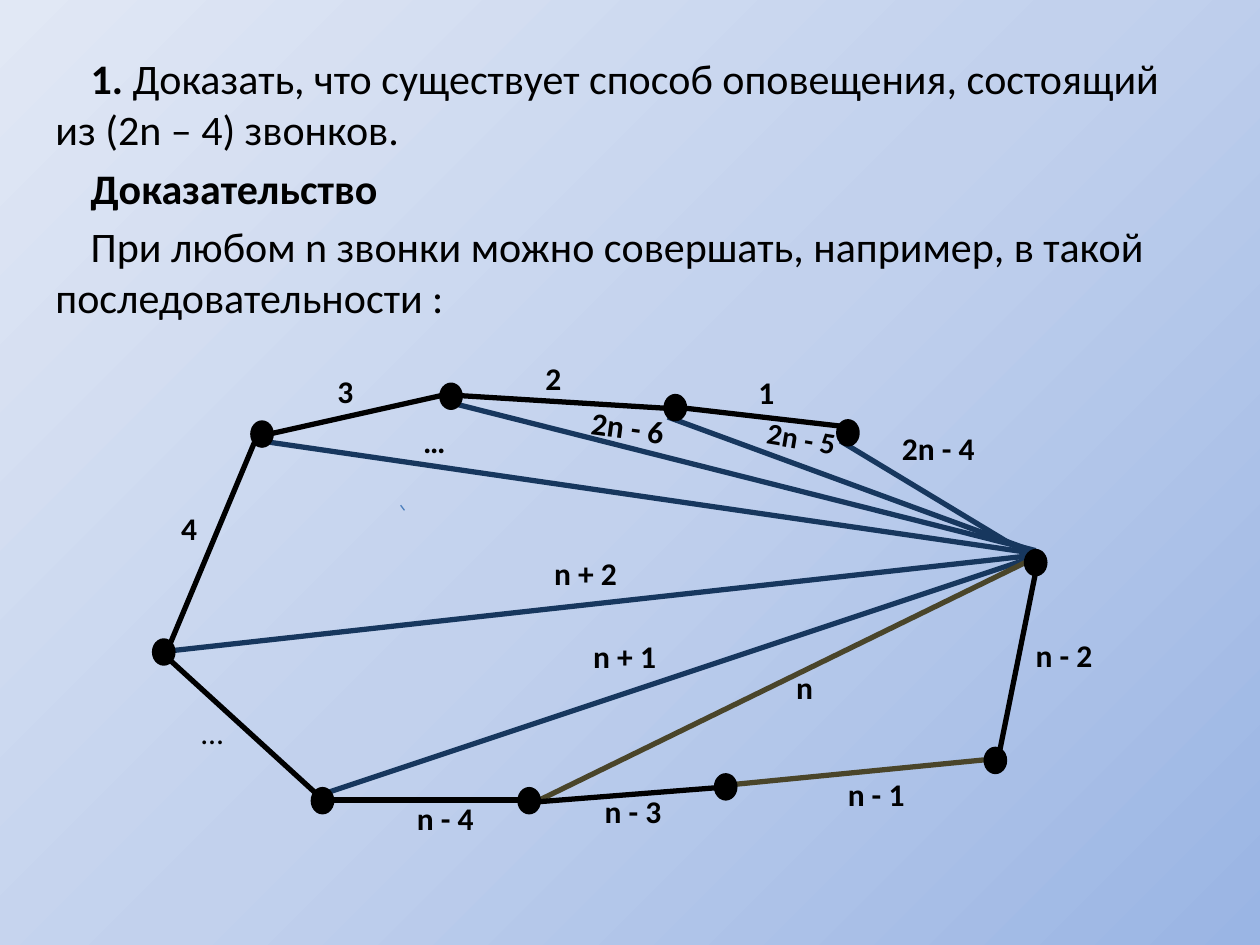
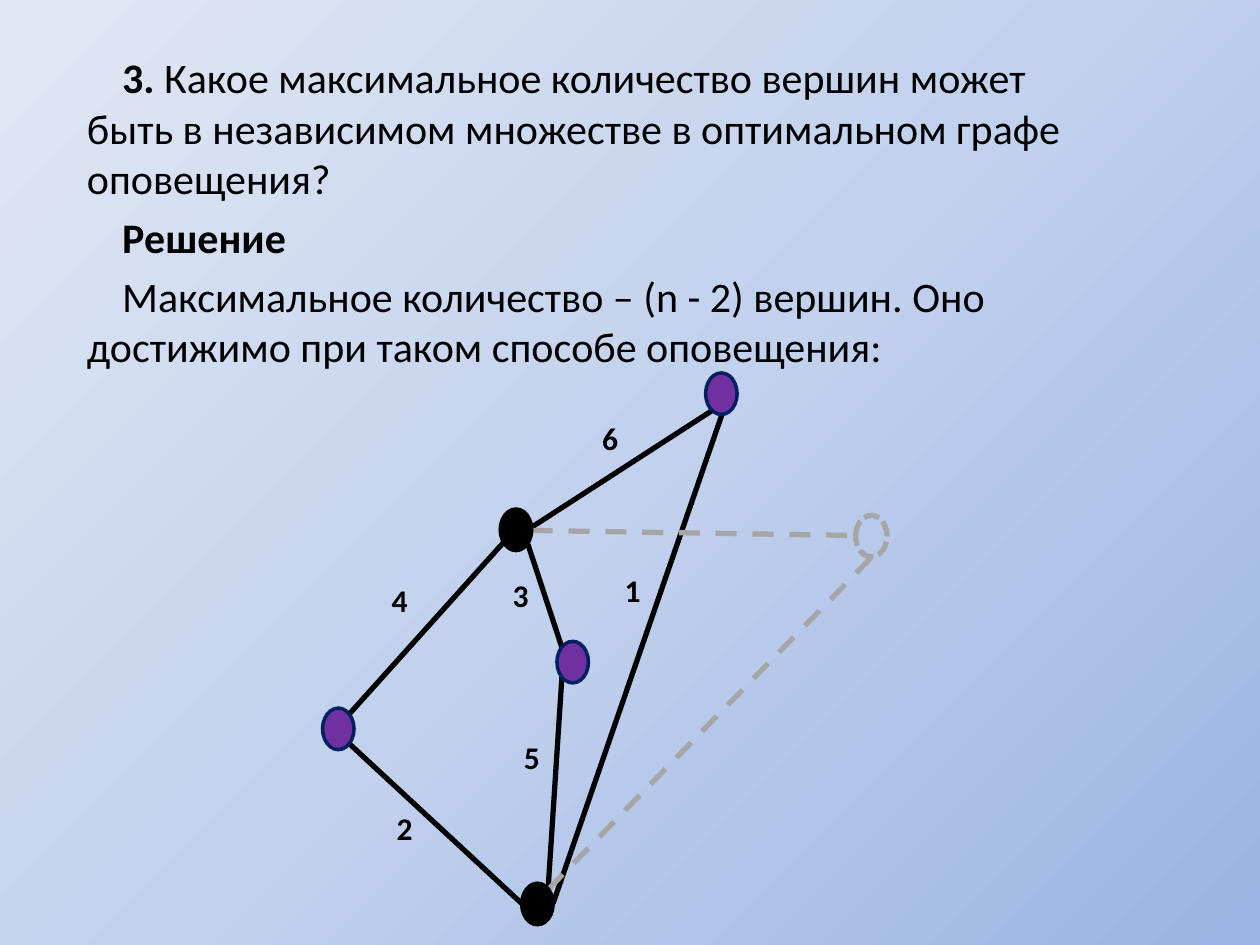
"""Build two slides on call graphs: a ring of calls and an optimal graph."""
from copy import deepcopy
from lxml.etree import SubElement
from pptx import Presentation
from pptx.dml.color import RGBColor as RGB
from pptx.enum.dml import MSO_LINE as Dash
from pptx.enum.shapes import MSO_CONNECTOR as Link, MSO_SHAPE as Form
from pptx.oxml.ns import qn
from pptx.util import Inches, Pt

COLORS = {
    "black": "000000", "navy": "17375E", "olive": "4A452A", "tick": "4B7EBC",
    "purple": "7030A0", "rim": "002060", "gray": "A6A6A6",
    "deep": "9AB5E4", "mid": "C2D1ED", "pale": "E1E8F5",
}
FONT = "Calibri"
HUB = (8.27, 4.4)


def rgb(name):
    return RGB.from_string(COLORS[name])


def style(para, size, bold=None):
    para.font.name, para.font.size, para.font.bold = FONT, Pt(size), bold
    para.font.color.rgb = rgb("black")


prs = Presentation()
prs.slide_width, prs.slide_height = Inches(10), Inches(7.5)
fill = prs.slide_master.background.fill
fill.gradient()
fill.gradient_angle = 135
first = next(prs.slide_master.element.iter(qn("a:gs")))
first.addnext(deepcopy(first))
for stop, name, place in zip(fill.gradient_stops, ("deep", "mid", "pale"), (0, 0.5, 1)):
    stop.color.rgb = rgb(name)
    stop.position = place

ring = {
    "box": (0.34, 0.37, 9, 6.34),
    "text": [
        ("1. ", "Доказать, что существует способ оповещения, состоящий из (2n – 4) звонков."),
        ("Доказательство", ""),
        ("", "При любом n звонки можно совершать, например, в такой последовательности :"),
    ],
    "edges": [
        ("navy", 3, None, [
            ((5.3, 3.31), HUB), ((6.67, 3.5), (8.16, 4.4)), ((2.54, 6.31), HUB),
            ((3.63, 3.21), (8.22, 4.37)), ((2.14, 3.51), HUB), ((1.22, 5.18), HUB)]),
        ("olive", 3, None, [((5.68, 6.24), (7.82, 6.03)), ((4.28, 6.35), HUB)]),
        ("black", 3, None, [
            ((3.65, 3.14), (5.28, 3.24)), ((2.16, 3.44), (3.5, 3.14)),
            ((1.35, 5.11), (2.02, 3.51)), ((5.44, 3.24), (6.74, 3.39)),
            ((2.63, 6.35), (4.12, 6.35)), ((4.19, 6.37), (5.84, 6.24)),
            ((7.9, 6.13), (8.22, 4.54)), ((1.35, 5.24), (2.5, 6.29))]),
        ("tick", 0.75, None, [((3.18, 4.01), (3.21, 4.05))]),
    ],
    "size": (0.16, 0.19),
    "nodes": [
        ("black", "black", 2, None, [
            (5.28, 3.14), (4.12, 6.26), (7.82, 5.94), (6.65, 3.34), (5.68, 6.15),
            (3.5, 3.05), (2, 3.35), (8.14, 4.37), (2.48, 6.26), (1.22, 5.08)]),
    ],
    "high": 0.5,
    "labels": [
        ("1", 5.92, 2.91), ("2", 4.23, 2.8), ("3", 2.58, 2.9), ("4", 1.34, 3.99),
        ("n - 4", 3.21, 6.29), ("n - 3", 4.7, 6.24), ("n - 2", 8.12, 5),
        ("n - 1", 6.63, 6.1), ("n", 6.22, 5.25), ("n + 1", 4.61, 5.01),
        ("n + 2", 4.3, 4.35), ("…", 3.26, 3.3), ("2n - 4", 7.06, 3.36),
        ("2n - 6", 4.59, 3.19, 7.7), ("2n - 5", 5.98, 3.29, 9.7, 17),
        ("…", 1.5, 5.61, 0, 18, False),
    ],
}

best = {
    "box": (0.59, 0.36, 8.91, 6.34),
    "text": [
        ("3. ", "Какое максимальное количество вершин может\v"
                "быть в независимом множестве в оптимальном графе оповещения?"),
        ("Решение", ""),
        ("", "Максимальное количество – (n - 2) вершин. Оно достижимо при таком "
             "способе оповещения:"),
    ],
    "edges": [
        ("black", 3, None, [
            ((4.39, 7.17), (5.73, 3.29)), ((4.01, 4.32), (5.85, 3.13)),
            ((4.46, 5.37), (4.35, 7.06)), ((2.77, 5.67), (4.19, 4.09)),
            ((4.19, 4.32), (4.46, 5.14)), ((2.77, 5.9), (4.14, 7.17))]),
        ("gray", 3, Dash.DASH, [
            ((4.22, 4.21), (6.79, 4.25)), ((4.35, 7.06), (6.92, 4.42))]),
    ],
    "size": (0.25, 0.33),
    "nodes": [
        ("purple", "rim", 2, None, [(4.42, 5.09), (2.56, 5.62), (5.6, 2.96)]),
        (None, "gray", 3, Dash.SQUARE_DOT, [(6.79, 4.09)]),
        ("black", "black", 2, None, [(3.97, 4.04), (4.14, 7.01)]),
    ],
    "high": 0.56,
    "labels": [
        ("1", 4.86, 4.48), ("2", 3.05, 6.37), ("3", 3.97, 4.52),
        ("4", 3.01, 4.56), ("5", 4.06, 5.81), ("6", 4.68, 3.28),
    ],
}

for graph in (ring, best):
    slide = prs.slides.add_slide(prs.slide_layouts[1])
    title, body = slide.placeholders
    title.element.getparent().remove(title.element)
    body.left, body.top, body.width, body.height = map(Inches, graph["box"])
    frame = body.text_frame
    for i, (bold, plain) in enumerate(graph["text"]):
        para = frame.add_paragraph() if i else frame.paragraphs[0]
        style(para, 24)
        props = para._p.get_or_add_pPr()
        props.set("marL", "0")
        props.set("indent", str(Inches(0.28)))
        props.insert(0, props.makeelement(qn("a:buNone")))
        if bold:
            run = para.add_run()
            run.text, run.font.bold = bold, True
        for j, part in enumerate(plain.split("\v") if plain else []):
            if j:
                para.add_line_break()
            para.add_run().text = part

    for color, width, dash, ends in graph["edges"]:
        for start, end in ends:
            edge = slide.shapes.add_connector(Link.STRAIGHT, *map(Inches, start + end))
            edge.line.color.rgb, edge.line.width = rgb(color), Pt(width)
            edge.line.dash_style = dash
            SubElement(edge._element.spPr, qn("a:effectLst"))

    for color, rim, width, dash, spots in graph["nodes"]:
        for spot in spots:
            node = slide.shapes.add_shape(Form.OVAL, *map(Inches, spot + graph["size"]))
            node.shadow.inherit = False
            if color:
                node.fill.solid()
                node.fill.fore_color.rgb = rgb(color)
            else:
                node.fill.background()
            node.line.color.rgb, node.line.width = rgb(rim), Pt(width)
            node.line.dash_style = dash

    for text, left, top, *rest in graph["labels"]:
        turn, size, bold = rest + [0, 18, True][len(rest):]
        wide = 0.32 + 0.08 * len(text)
        label = slide.shapes.add_textbox(*map(Inches, (left, top, wide, graph["high"])))
        label.rotation = turn
        label.text_frame.word_wrap = True
        para = label.text_frame.paragraphs[0]
        para.text = text
        style(para, size, bold)

prs.save("out.pptx")
